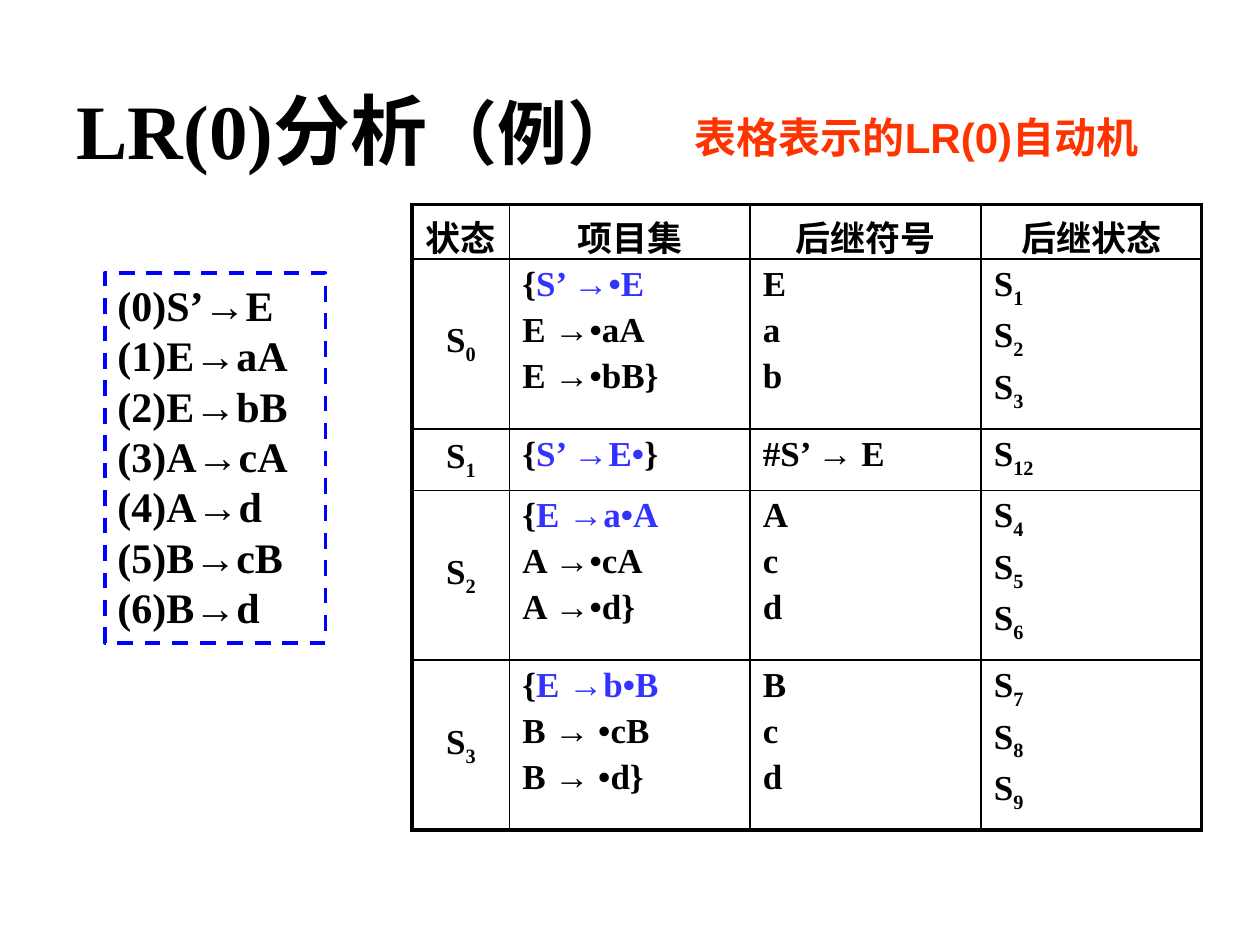
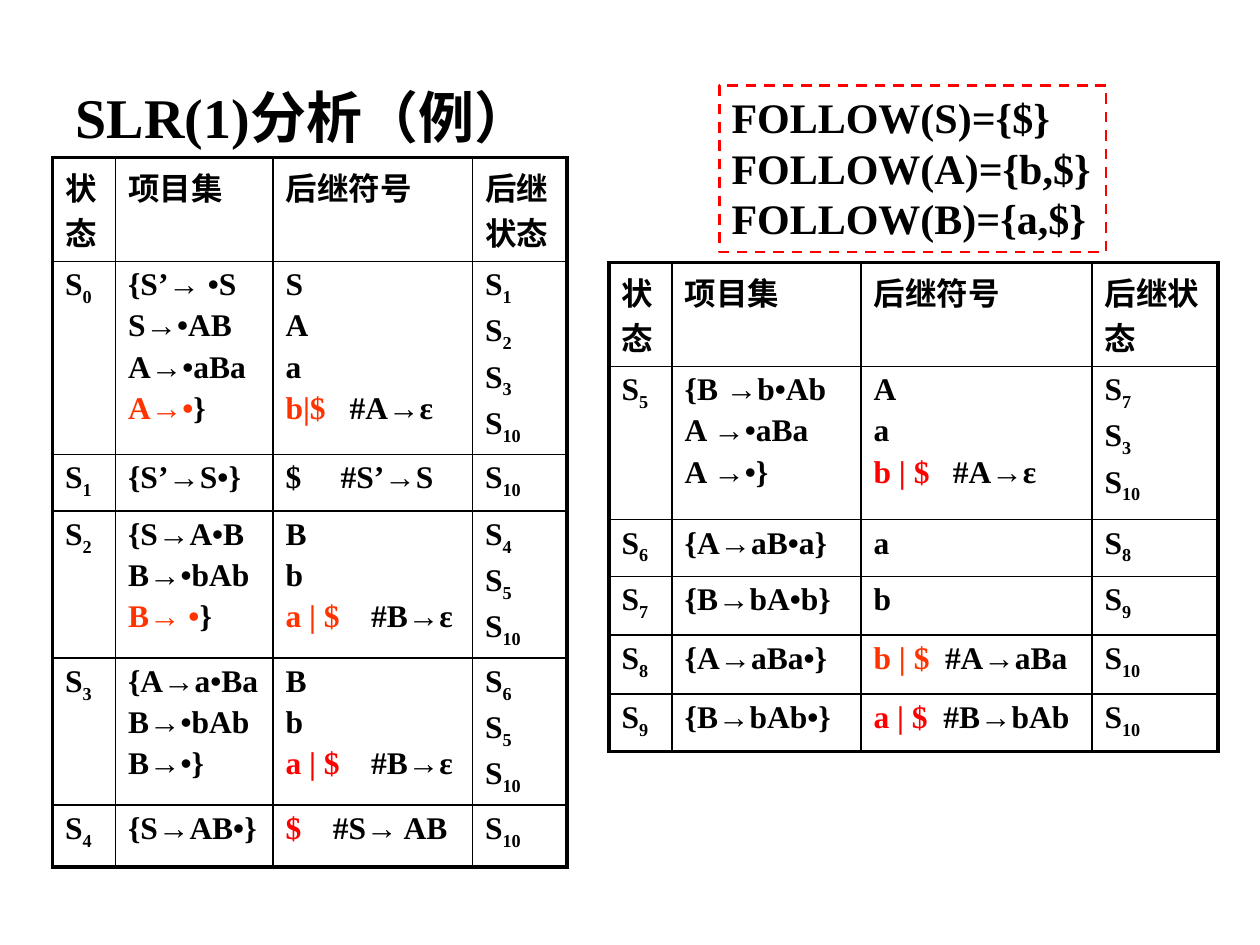
from dataclasses import dataclass

from lxml.etree import SubElement
from pptx import Presentation
from pptx.dml.color import RGBColor
from pptx.enum.dml import MSO_LINE
from pptx.enum.shapes import MSO_SHAPE
from pptx.enum.text import MSO_ANCHOR, MSO_AUTO_SIZE, PP_ALIGN
from pptx.oxml.ns import qn
from pptx.util import Inches, Pt

# Shared style
BLACK, BLUE, ORANGE, RED = "000000", "3333FF", "FF3300", "FF0000"
FRAME_BLUE = "0000FF"
SERIF, SANS = "Times New Roman", "Arial"
SUB = "subscript"
THICK, THIN = 2.25, 1
HEADERS = ["状态", "项目集", "后继符号", "后继状态"]
TITLE_ONLY = 5


def colour(hex_code):
    return RGBColor.from_string(hex_code)


def grid(units):
    """Convert grid units to a length: 120 columns by 90 rows per slide."""
    return Inches(units / 12)


@dataclass
class Line:
    """One line of runs; each run is a text and a colour or SUB."""
    runs: list
    tab: float = 0


def plain(text):
    return Line([(text, BLACK)])


def state(number):
    return Line([("S", BLACK), (str(number), SUB)])


def kernel(text, end=""):
    """First item of a set, highlighted after its opening brace."""
    return Line([("{", BLACK), (text, BLUE), (end, BLACK)])


def empty_item(text):
    """Highlighted reduce item that closes a set."""
    return Line([(text, ORANGE), ("}", BLACK)])


def reduction(lookahead, rule, tab, hue=RED):
    return Line([(lookahead, hue), ("\t" + rule, BLACK)], tab)


class Deck:
    def __init__(self):
        self.prs = Presentation()
        self.prs.slide_width, self.prs.slide_height = grid(120), grid(90)
        self.s = None

    def text(self, tf, lines, size, font=SERIF, align=PP_ALIGN.LEFT, before=0):
        for i, line in enumerate(lines):
            line = plain(line) if isinstance(line, str) else line
            p = tf.paragraphs[0] if i == 0 else tf.add_paragraph()
            p.alignment = align
            pPr = p._p.get_or_add_pPr()
            if before:
                spacing = SubElement(pPr, qn("a:spcBef"))
                SubElement(spacing, qn("a:spcPct"), val=str(before * 1000))
            if line.tab:
                tabs = SubElement(pPr, qn("a:tabLst"))
                SubElement(tabs, qn("a:tab"), pos=str(grid(line.tab)), algn="l")
            for words, style in line.runs:
                if words:
                    self.run(p, words, style, size, font)

    def run(self, p, words, style, size, font):
        r = p.add_run()
        r.text = words
        r.font.name, r.font.size, r.font.bold = font, Pt(size), True
        r.font.color.rgb = colour(BLACK if style == SUB else style)
        if style == SUB:
            r._r.get_or_add_rPr().set("baseline", "-25000")

    def slide(self, x, y, size, title, suffix="", suffix_size=None):
        self.s = self.prs.slides.add_slide(self.prs.slide_layouts[TITLE_ONLY])
        sp = self.s.shapes.title
        sp.left, sp.top, sp.width, sp.height = map(grid, (x, y, 108, 10.2))
        tf = sp.text_frame
        tf.auto_size, tf.vertical_anchor = MSO_AUTO_SIZE.NONE, MSO_ANCHOR.MIDDLE
        self.text(tf, [title], size)
        if suffix:
            self.run(tf.paragraphs[0], suffix, BLACK, suffix_size, SERIF)

    def label(self, x, y, w, h, line, size, font):
        tf = self.s.shapes.add_textbox(*map(grid, (x, y, w, h))).text_frame
        tf.word_wrap = True
        self.text(tf, [line], size, font)

    def dashed_box(self, x, y, w, h, hue, weight, lines, wrap=True):
        sp = self.s.shapes.add_shape(MSO_SHAPE.RECTANGLE, *map(grid, (x, y, w, h)))
        sp.shadow.inherit = False
        sp.fill.background()
        sp.line.color.rgb = colour(hue)
        sp.line.width, sp.line.dash_style = Pt(weight), MSO_LINE.DASH
        tf = sp.text_frame
        tf.word_wrap, tf.vertical_anchor = wrap, MSO_ANCHOR.TOP
        tf.auto_size = MSO_AUTO_SIZE.SHAPE_TO_FIT_TEXT
        self.text(tf, lines, 24)

    def automaton(self, x, y, widths, heights, size, rows, centred=False):
        """Table of states, item sets, successor symbols and states."""
        frame = self.s.shapes.add_table(len(rows) + 1, len(widths), *map(
            grid, (x, y, sum(widths), sum(heights))))
        table = frame.table
        table.first_row = table.horz_banding = False
        for column, width in zip(table.columns, widths):
            column.width = grid(width)
        for row, height in zip(table.rows, heights):
            row.height = grid(height)
        body = [[[state(number)], items, symbols, [state(n) for n in following]]
                for number, items, symbols, following in rows]
        for i, cells in enumerate([[[name] for name in HEADERS]] + body):
            for j, lines in enumerate(cells):
                cell = table.cell(i, j)
                cell.fill.background()
                middle = centred and (i == 0 or j == 0)
                if centred and i and j == 0:
                    cell.vertical_anchor = MSO_ANCHOR.MIDDLE
                self.text(cell.text_frame, lines, size, before=20,
                          align=PP_ALIGN.CENTER if middle else PP_ALIGN.LEFT)
                self.borders(cell, L=j == 0, R=j == len(widths) - 1,
                             T=i == 0, B=i == len(rows))

    def borders(self, cell, **outer_sides):
        tcPr = cell._tc.get_or_add_tcPr()
        for k, (side, outer) in enumerate(outer_sides.items()):
            ln = SubElement(tcPr, qn("a:ln" + side),
                            w=str(Pt(THICK if outer else THIN)))
            fill = SubElement(ln, qn("a:solidFill"))
            SubElement(fill, qn("a:srgbClr"), val=BLACK)
            tcPr.insert(k, ln)


def lr0_slide(deck):
    deck.slide(6.1, 7.2, 44, "LR(0)分析", "（例）", 40)

    # Grammar
    rules = ["S’→E", "E→aA", "E→bB", "A→cA", "A→d", "B→cB", "B→d"]
    deck.dashed_box(10, 26, 21, 35.2, FRAME_BLUE, 2.25,
                    [f"({n}){rule}" for n, rule in enumerate(rules)])

    # Automaton
    deck.automaton(39.25, 19.45, [9.3, 22.9, 22, 21],
                   [5.15, 15.5, 5.85, 15.5, 15.5], 20, [
        (0, [kernel("S’ →•E"), "E →•aA", "E →•bB}"], "Eab", [1, 2, 3]),
        (1, [kernel("S’ →E•", "}")], ["#S’ → E"], [12]),
        (2, [kernel("E →a•A"), "A →•cA", "A →•d}"], "Acd", [4, 5, 6]),
        (3, [kernel("E →b•B"), "B → •cB", "B → •d}"], "Bcd", [7, 8, 9]),
    ], centred=True)
    caption = Line([("表格表示的LR(0)自动机", ORANGE)])
    deck.label(65, 10, 48.6, 6, caption, 24, SANS)


def slr1_slide(deck):
    deck.slide(6, 6, 32, "SLR(1)分析（例）")

    # States 0 to 4
    deck.automaton(5, 15, [6, 15, 19, 9], [8.4, 18.4, 5.4, 14, 14, 5.9], 18, [
        (0, ["{S’→ •S", "S→•AB", "A→•aBa", empty_item("A→•")],
         ["S", "A", "a", reduction("b|$", "#A→ε", 6.1, ORANGE)], [1, 2, 3, 10]),
        (1, ["{S’→S•}"], [reduction("$", "#S’→S", 5.25, BLACK)], [10]),
        (2, ["{S→A•B", "B→•bAb", empty_item("B→ •")],
         ["B", "b", reduction("a | $", "#B→ε", 8.15, ORANGE)], [4, 5, 10]),
        (3, ["{A→a•Ba", "B→•bAb", "B→•}"],
         ["B", "b", reduction("a | $", "#B→ε", 8.15)], [6, 5, 10]),
        (4, ["{S→AB•}"], [reduction("$", "#S→ AB", 4.5)], [10]),
    ])

    # States 5 to 9
    deck.automaton(58, 25, [6, 18, 22, 12],
                   [8.4, 14.6, 5.4, 5.6, 5.6, 5.5], 18, [
        (5, ["{B →b•Ab", "A →•aBa", "A →•}"],
         ["A", "a", reduction("b | $", "#A→ε", 7.55)], [7, 3, 10]),
        (6, ["{A→aB•a}"], ["a"], [8]),
        (7, ["{B→bA•b}"], ["b"], [9]),
        (8, ["{A→aBa•}"], [reduction("b | $", "#A→aBa", 6.8, ORANGE)], [10]),
        (9, ["{B→bAb•}"], [reduction("a | $", "#B→bAb", 6.65)], [10]),
    ])

    # Follow sets
    follow = {"S": "$", "A": "b,$", "B": "a,$"}
    deck.dashed_box(68.5, 8.15, 36.85, 15.85, RED, 1.5,
                    [f"FOLLOW({name})={{{symbols}}}"
                     for name, symbols in follow.items()], wrap=False)


def main():
    deck = Deck()
    lr0_slide(deck)
    slr1_slide(deck)
    deck.prs.save("out.pptx")


if __name__ == "__main__":
    main()
